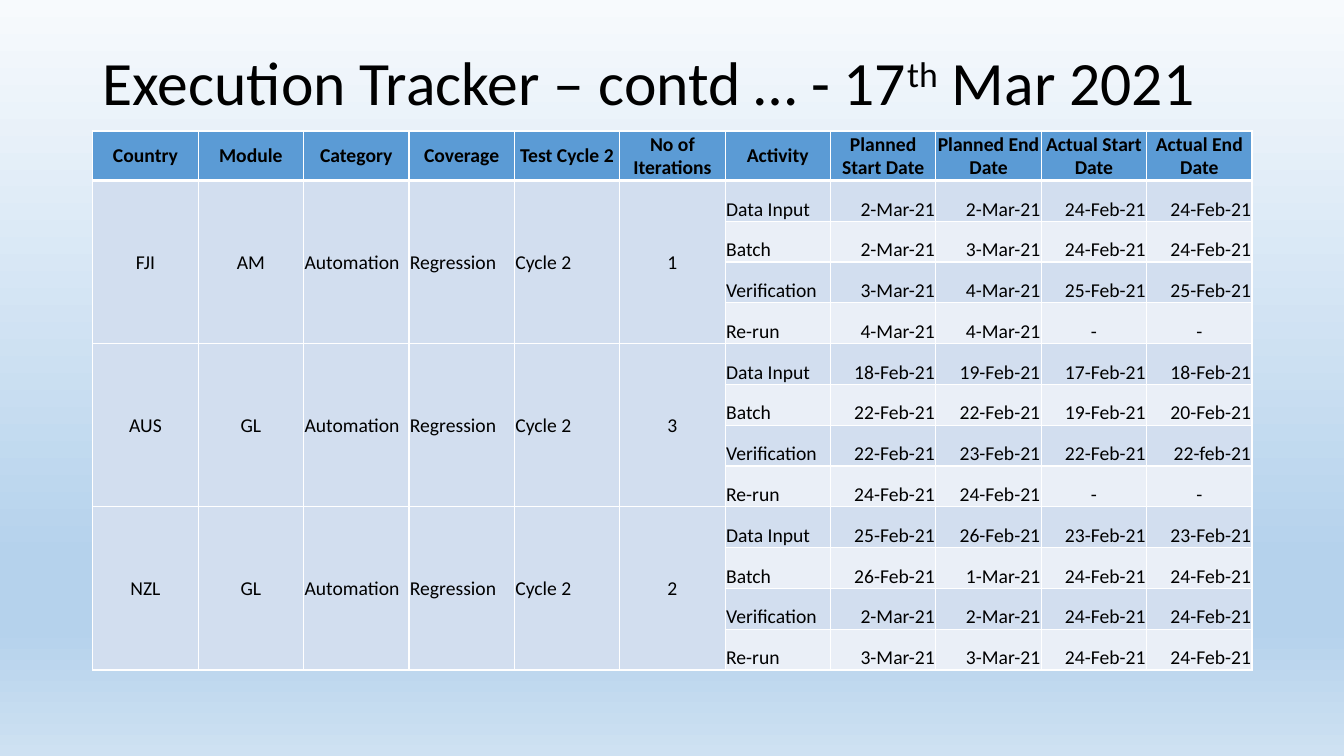
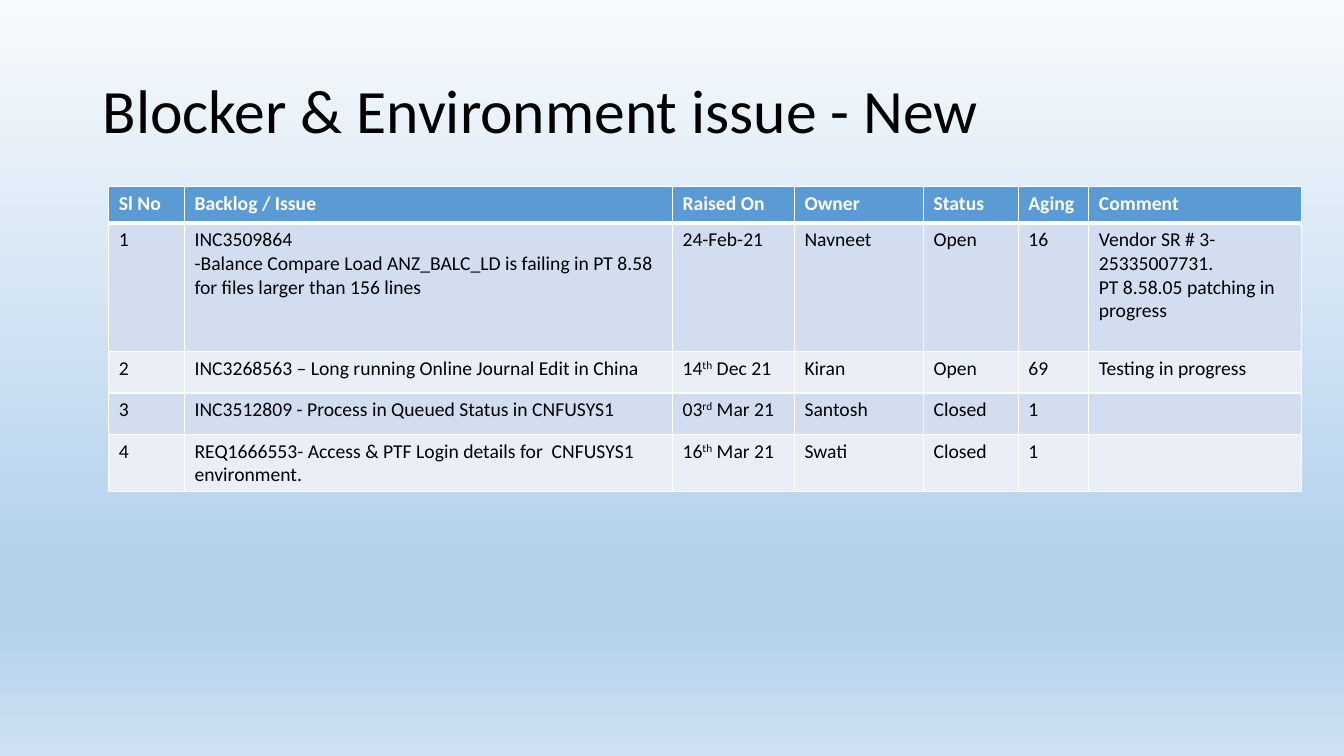
from dataclasses import dataclass

from lxml import etree
from pptx import Presentation
from pptx.dml.color import RGBColor
from pptx.enum import text as txt
from pptx.oxml import ns
from pptx.util import Inches, Pt


@dataclass(frozen=True)
class Theme:
    font: str = "Calibri"
    ink: str = "000000"
    white: str = "FFFFFF"
    head: str = "5B9BD5"
    bands: tuple = ("D2DEEF", "EAEFF7")
    sky: tuple = ((0, "F7FAFD"), (74, "B5D2EC"), (83, "B5D2EC"), (100, "CEE1F2"))
    title: int = 44
    body: int = 14
    thin: int = 1
    thick: int = 3


THEME = Theme()
ALIGN = {"l": txt.PP_ALIGN.LEFT, "c": txt.PP_ALIGN.CENTER, "r": txt.PP_ALIGN.RIGHT}
ANCHOR = {"t": txt.MSO_ANCHOR.TOP, "m": txt.MSO_ANCHOR.MIDDLE, "b": txt.MSO_ANCHOR.BOTTOM}

HEADS = ["Country", "Module", "Category", "Coverage", "Test Cycle 2", "No of Iterations",
         "Activity", "Planned Start Date", "Planned End Date", "Actual Start Date",
         "Actual End Date"]
STEPS = ["Data Input", "Batch", "Verification", "Re-run"]
RUNS = [
    ("FJI", "AM", "1", [
        ["2-Mar-21", "2-Mar-21", "24-Feb-21", "24-Feb-21"],
        ["2-Mar-21", "3-Mar-21", "24-Feb-21", "24-Feb-21"],
        ["3-Mar-21", "4-Mar-21", "25-Feb-21", "25-Feb-21"],
        ["4-Mar-21", "4-Mar-21", "-", "-"]]),
    ("AUS", "GL", "3", [
        ["18-Feb-21", "19-Feb-21", "17-Feb-21", "18-Feb-21"],
        ["22-Feb-21", "22-Feb-21", "19-Feb-21", "20-Feb-21"],
        ["22-Feb-21", "23-Feb-21", "22-Feb-21", "22-feb-21"],
        ["24-Feb-21", "24-Feb-21", "-", "-"]]),
    ("NZL", "GL", "2", [
        ["25-Feb-21", "26-Feb-21", "23-Feb-21", "23-Feb-21"],
        ["26-Feb-21", "1-Mar-21", "24-Feb-21", "24-Feb-21"],
        ["2-Mar-21", "2-Mar-21", "24-Feb-21", "24-Feb-21"],
        ["3-Mar-21", "3-Mar-21", "24-Feb-21", "24-Feb-21"]]),
]
ISSUES = [
    ["Sl No", "Backlog / Issue", "Raised On", "Owner", "Status", "Aging", "Comment"],
    ["1", "INC3509864\n-Balance Compare Load ANZ_BALC_LD is failing in PT 8.58 "
          "for files larger than 156 lines", "24-Feb-21", "Navneet", "Open", "16",
     "Vendor SR # 3-25335007731.\nPT 8.58.05 patching in progress"],
    ["2", "INC3268563 – Long running Online Journal Edit in China", "14^th^ Dec 21",
     "Kiran", "Open", "69", "Testing in progress"],
    ["3", "INC3512809 - Process in Queued Status in CNFUSYS1", "03^rd^ Mar 21",
     "Santosh", "Closed", "1", ""],
    ["4", "REQ1666553- Access & PTF Login details for  CNFUSYS1 environment.",
     "16^th^ Mar 21", "Swati", "Closed", "1", ""],
]


def paint(master):
    fill = master.background.fill
    fill.gradient()
    fill.gradient_angle = 270
    stops = master.element.find(".//" + ns.qn("p:bg")).find(".//" + ns.qn("a:gsLst"))
    for old in list(stops):
        stops.remove(old)
    for pos, tint in THEME.sky:
        stop = etree.SubElement(stops, ns.qn("a:gs"), pos=str(pos * 1000))
        etree.SubElement(stop, ns.qn("a:srgbClr"), val=tint)


def write(frame, words, size, ink=THEME.ink, bold=False, align="l", lead=None):
    for i, line in enumerate(words.split("\n")):
        para = frame.add_paragraph() if i else frame.paragraphs[0]
        para.alignment = ALIGN[align]
        para.line_spacing = lead
        font = para.font
        font.name, font.size, font.bold = THEME.font, Pt(size), bold
        font.color.rgb = RGBColor.from_string(ink)
        for k, part in enumerate(line.split("^")):
            if part:
                run = para.add_run()
                run.text = part
                if k % 2:
                    run.font._element.set("baseline", "30000")


def title(slide, words, height):
    box = slide.shapes.add_textbox(Inches(0.92), Inches(0.4), Inches(11.5), Inches(height))
    frame = box.text_frame
    frame.word_wrap = True
    frame.vertical_anchor = ANCHOR["m"]
    write(frame, words, THEME.title, lead=0.9)


def edge(cell, row):
    props = cell._tc.get_or_add_tcPr()
    thick = {0: "B", 1: "T"}.get(row)
    for side in "LRTB":
        width = THEME.thick if side == thick else THEME.thin
        line = etree.SubElement(props, ns.qn("a:ln" + side), w=str(Pt(width)))
        fill = etree.SubElement(line, ns.qn("a:solidFill"))
        etree.SubElement(fill, ns.qn("a:srgbClr"), val=THEME.white)


def grid(slide, left, top, wide, high):
    frame = slide.shapes.add_table(len(high), len(wide), Inches(left), Inches(top),
                                   Inches(sum(wide)), Inches(sum(high)))
    table = frame.table
    table.horz_banding = False
    for col, size in zip(table.columns, wide):
        col.width = Inches(size)
    for row, size in zip(table.rows, high):
        row.height = Inches(size)
    for r in range(len(high)):
        tint = THEME.bands[(r - 1) % 2] if r else THEME.head
        for c in range(len(wide)):
            cell = table.cell(r, c)
            edge(cell, r)
            cell.fill.solid()
            cell.fill.fore_color.rgb = RGBColor.from_string(tint)
    return table


def put(cell, words, anchor="t", tight=False, **look):
    cell.vertical_anchor = ANCHOR[anchor]
    if tight:
        cell.margin_left = cell.margin_right = cell.margin_top = Inches(0.01)
        cell.margin_bottom = 0
    write(cell.text_frame, words, THEME.body, **look)


def tracker(slide):
    title(slide, "Execution Tracker – contd … - 17^th^ Mar 2021", 0.9)
    count, span = len(HEADS), len(STEPS)
    rows = span * len(RUNS)
    table = grid(slide, 0.92, 1.3, [11.5 / count] * count, [0.49] + [4.86 / rows] * rows)
    for c, head in enumerate(HEADS):
        put(table.cell(0, c), head, "m", True, bold=True, align="c")
    for n, (land, module, times, dates) in enumerate(RUNS):
        top = 1 + n * span
        group = [land, module, "Automation", "Regression", "Cycle 2", times]
        for c, (words, align) in enumerate(zip(group, "cclllc")):
            cell = table.cell(top, c)
            cell.merge(table.cell(top + span - 1, c))
            put(cell, words, "m", True, align=align)
        for r, (step, days) in enumerate(zip(STEPS, dates), top):
            put(table.cell(r, len(group)), step, "b", True)
            for c, day in enumerate(days, len(group) + 1):
                put(table.cell(r, c), day, "b", True, align="c" if day == "-" else "r")


def issues(slide):
    title(slide, "Blocker & Environment issue - New", 1.45)
    table = grid(slide, 1.08, 1.85, [0.75, 4.84, 1.21, 1.28, 0.94, 0.7, 2.11],
                 [0.36, 1.28, 0.41, 0.41, 0.57])
    for r, row in enumerate(ISSUES):
        for c, words in enumerate(row):
            put(table.cell(r, c), words, ink=THEME.ink if r else THEME.white, bold=not r)


def main():
    deck = Presentation()
    deck.slide_width, deck.slide_height = Inches(13.33), Inches(7.5)
    paint(deck.slide_master)
    for build in (tracker, issues):
        build(deck.slides.add_slide(deck.slide_layouts[6]))
    deck.save("out.pptx")


if __name__ == "__main__":
    main()
